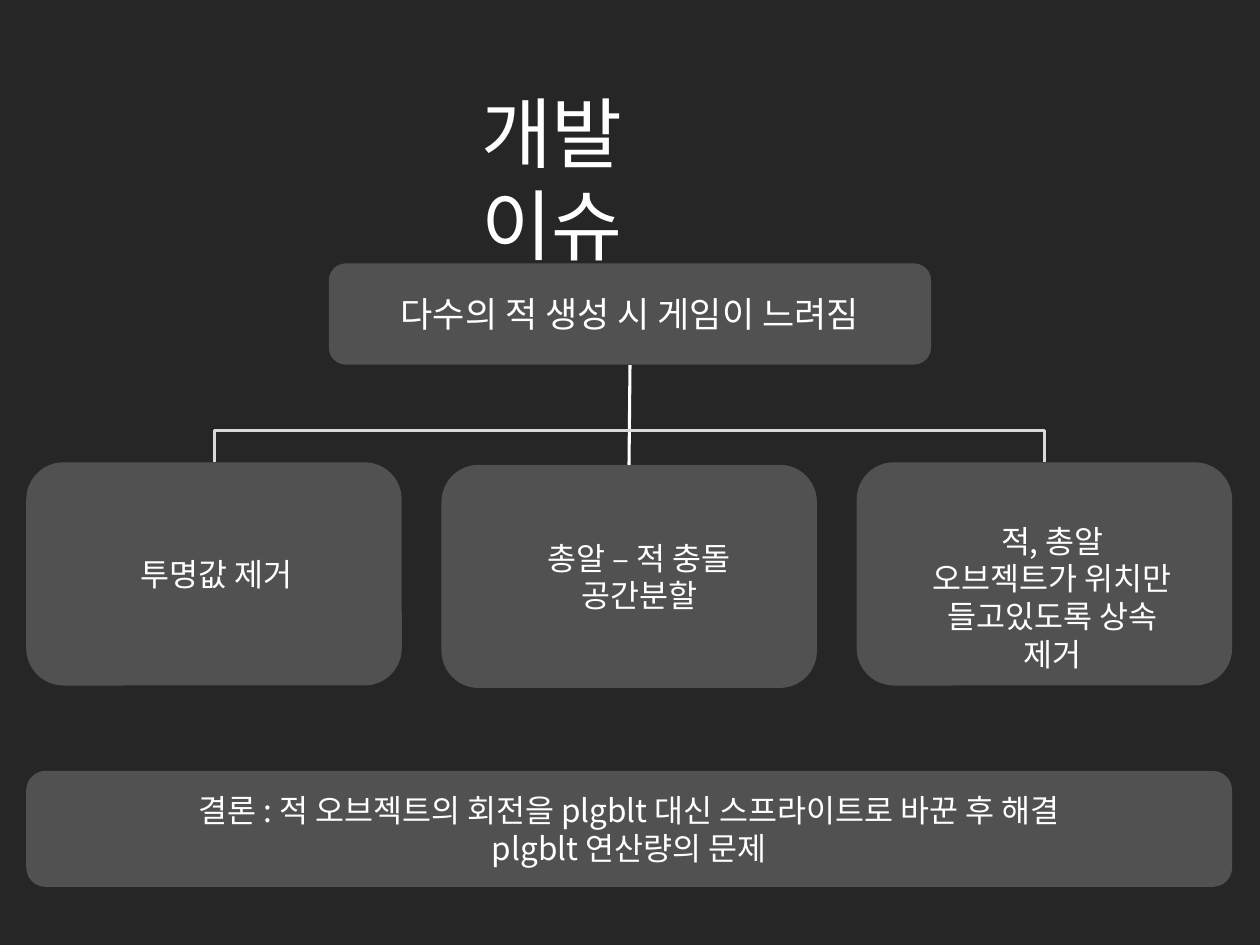
from lxml import etree
from pptx import Presentation
from pptx.dml.color import RGBColor
from pptx.enum.shapes import MSO_CONNECTOR, MSO_SHAPE
from pptx.enum.text import MSO_ANCHOR, MSO_AUTO_SIZE, PP_ALIGN
from pptx.oxml.ns import qn
from pptx.util import Cm, Pt

ROUNDED = MSO_SHAPE.ROUNDED_RECTANGLE
STRAIGHT, ELBOW = MSO_CONNECTOR.STRAIGHT, MSO_CONNECTOR.ELBOW
LEFT, CENTER = PP_ALIGN.LEFT, PP_ALIGN.CENTER
MIDDLE = MSO_ANCHOR.MIDDLE
GROW = MSO_AUTO_SIZE.SHAPE_TO_FIT_TEXT

FONT = "Noto Sans CJK KR"
COLORS = {
    "background": "262626",
    "panel": "A6A6A6",
    "text": "FFFFFF",
    "trunk": "FFFFFF",
    "branch": "D9D9D9",
}
PANEL_ALPHA = 34
MARGIN = 0.53
CARD_WIDTH, CARD_HEIGHT, CARD_STEP = 7.57, 4.5, 8.37
# Per card: top, lines of text, left inset
CARDS = [
    (9.32, ["투명값 제거"], 0.35),
    (9.37, ["총알 – 적 충돌", "공간분할"], 0.65),
    (9.32, [], 0.25),
]


def color(name):
    return RGBColor.from_string(COLORS[name])


def write(frame, lines, size, align=CENTER):
    frame.word_wrap = True
    for index, line in enumerate(lines):
        para = frame.paragraphs[0] if index == 0 else frame.add_paragraph()
        para.alignment = align
        span = para.add_run()
        span.text = line
        span.font.size = Pt(size)
        span.font.name = FONT
        span.font.color.rgb = color("text")
        east_asian = etree.SubElement(span.font._element, qn("a:ea"))
        east_asian.set("typeface", FONT)


def add_panel(page, left, top, width, height, lines, size=18, inset=0.25):
    """Add a translucent rounded panel with centred text."""
    panel = page.shapes.add_shape(ROUNDED, Cm(left), Cm(top), Cm(width), Cm(height))
    panel.shadow.inherit = False
    panel.line.fill.background()
    panel.fill.solid()
    panel.fill.fore_color.rgb = color("panel")
    tone = panel._element.spPr.find(qn("a:solidFill"))[0]
    etree.SubElement(tone, qn("a:alpha")).set("val", str(PANEL_ALPHA * 1000))
    frame = panel.text_frame
    frame.vertical_anchor = MIDDLE
    frame.margin_left = Cm(inset)
    write(frame, lines, size)


def add_label(page, left, top, width, height, text, size, align=CENTER):
    box = page.shapes.add_textbox(Cm(left), Cm(top), Cm(width), Cm(height))
    box.text_frame.auto_size = GROW
    write(box.text_frame, [text], size, align)


def add_line(page, kind, start, end, tone, weight):
    line = page.shapes.add_connector(kind, *(Cm(value) for value in start + end))
    line.line.color.rgb = color(tone)
    line.line.width = Pt(weight)
    etree.SubElement(line._element.spPr, qn("a:effectLst"))
    return line


def add_bracket(page, left, right, bottom, rise):
    """Add an elbow line that joins two points of one height from above."""
    center, half, thin = (left + right) / 2, (right - left) / 2, 0.01
    line = add_line(page, ELBOW, (center, bottom - half),
                    (center + thin, bottom + half), "branch", 1.5)
    frame = line._element.spPr.find(qn("a:xfrm"))
    for key, value in (("rot", "5400000"), ("flipH", "1"), ("flipV", "1")):
        frame.set(key, value)
    adjustments = line._element.spPr.find(qn("a:prstGeom")).get_or_add_avLst()
    guide = etree.SubElement(adjustments, qn("a:gd"))
    guide.set("name", "adj1")
    guide.set("fmla", f"val {round(rise / thin * 100000)}")


def main():
    deck = Presentation()
    deck.slide_width, deck.slide_height = Cm(25.4), Cm(19.05)
    page = deck.slides.add_slide(deck.slide_layouts[6])
    page.background.fill.solid()
    page.background.fill.fore_color.rgb = color("background")

    conclusion = ["결론 : 적 오브젝트의 회전을 plgblt 대신 스프라이트로 바꾼 후 해결",
                  "plgblt 연산량의 문제"]
    add_panel(page, MARGIN, 15.54, 24.31, 2.34, conclusion)
    add_label(page, 9.45, 1.6, 6.3, 2.13, "개발 이슈", 44, LEFT)
    add_panel(page, 6.63, 5.31, 12.14, 2.04, ["다수의 적 생성 시 게임이 느려짐"], 20)

    for index, (top, lines, inset) in enumerate(CARDS):
        add_panel(page, MARGIN + index * CARD_STEP, top, CARD_WIDTH, CARD_HEIGHT,
                  lines, inset=inset)

    first_center = MARGIN + CARD_WIDTH / 2
    last_center = first_center + 2 * CARD_STEP
    add_line(page, STRAIGHT, (12.7, 7.36), (12.68, 9.37), "trunk", 1.75)
    add_bracket(page, first_center, last_center, 9.32, 0.64)
    add_label(page, 18.41, 10.39, 5.61, 3.33,
              "적, 총알 오브젝트가 위치만 들고있도록 상속 제거", 18)
    deck.save("out.pptx")


if __name__ == "__main__":
    main()
